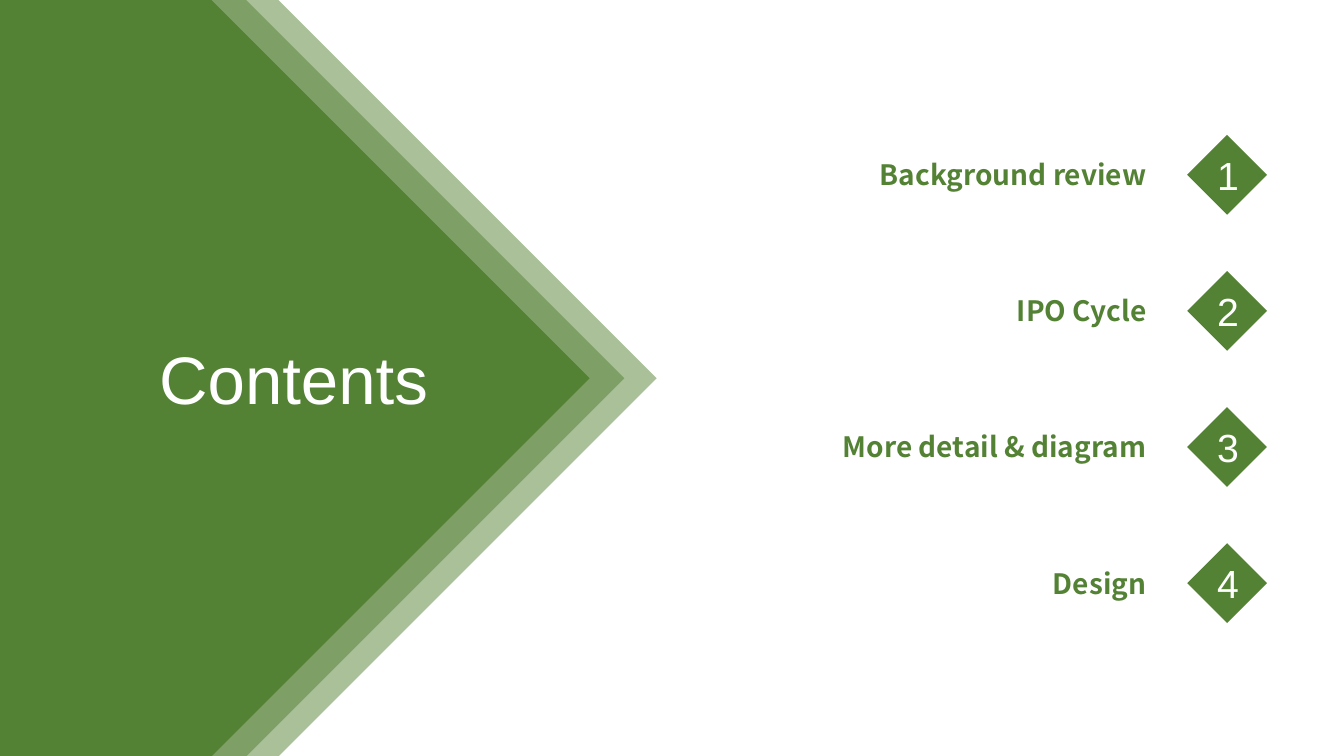
from pptx import Presentation
from pptx.dml.color import RGBColor
from pptx.enum.shapes import MSO_SHAPE
from pptx.enum.text import MSO_ANCHOR, PP_ALIGN
from pptx.oxml.ns import qn
from pptx.util import Cm, Pt
from lxml import etree

DIAMOND = MSO_SHAPE.DIAMOND
RECTANGLE = MSO_SHAPE.RECTANGLE
RIGHT_TRIANGLE = MSO_SHAPE.RIGHT_TRIANGLE
MIDDLE = MSO_ANCHOR.MIDDLE
CENTER = PP_ALIGN.CENTER
RIGHT = PP_ALIGN.RIGHT

SLIDE_WIDTH, SLIDE_HEIGHT = 33.87, 19.05
GREEN, WHITE = "548235", "FFFFFF"
HEADING_FONT, TOPIC_FONT = "Arial", "Noto Sans CJK SC"
ARROW_X, ARROW_Y = 5.32, 9.53
ARROW_LAYERS = [(15.88, 50), (14.73, 50), (13.49, 100)]
TOPICS = ["Background review", "IPO Cycle", "More detail & diagram", "Design"]
FIRST_TOPIC_TOP, TOPIC_PITCH = 3.4, 3.43


def color(hex_code):
    """Return the colour for a hex string."""
    return RGBColor.from_string(hex_code)


def add_solid(slide, kind, left, top, width, height, opacity=100):
    """Add a green shape without outline, with opacity in percent."""
    solid = slide.shapes.add_shape(kind, Cm(left), Cm(top), Cm(width), Cm(height))
    solid.shadow.inherit = False
    solid.fill.solid()
    solid.fill.fore_color.rgb = color(GREEN)
    solid.line.fill.background()
    if opacity < 100:
        tint = solid.fill._xPr.find(qn("a:solidFill"))[0]
        etree.SubElement(tint, qn("a:alpha"), val=str(opacity * 1000))
    return solid


def write(frame, text, size, font, hex_code, align, bold=False):
    """Write one formatted paragraph into a text frame."""
    frame.word_wrap = True
    paragraph = frame.paragraphs[0]
    paragraph.text = text
    paragraph.alignment = align
    paragraph.font.size = Pt(size)
    paragraph.font.name = font
    paragraph.font.bold = bold
    paragraph.font.color.rgb = color(hex_code)


def add_label(slide, left, top, width, height, *style):
    """Add a text box with one styled line."""
    label = slide.shapes.add_textbox(Cm(left), Cm(top), Cm(width), Cm(height))
    write(label.text_frame, *style)


def add_arrow(slide):
    """Add the layered arrow that fills the left side."""
    for side, opacity in ARROW_LAYERS:
        layer = add_solid(slide, RIGHT_TRIANGLE, ARROW_X - side / 2,
                          ARROW_Y - side / 2, side, side, opacity)
        layer.rotation = 225
    add_solid(slide, RECTANGLE, 0, 0, ARROW_X, SLIDE_HEIGHT)


def add_topic(slide, number, topic, top):
    """Add a numbered diamond and its topic."""
    marker = add_solid(slide, DIAMOND, 29.92, top, 2.01, 2.01)
    marker.text_frame.vertical_anchor = MIDDLE
    write(marker.text_frame, str(number), 28, HEADING_FONT, WHITE, CENTER)
    add_label(slide, 18.34, top + 0.45, 10.8, 1.12,
              topic, 20, TOPIC_FONT, GREEN, RIGHT, True)


def main():
    """Build the contents slide."""
    deck = Presentation()
    deck.slide_width, deck.slide_height = Cm(SLIDE_WIDTH), Cm(SLIDE_HEIGHT)
    slide = deck.slides.add_slide(deck.slide_layouts[6])
    add_arrow(slide)
    add_label(slide, 2.95, 8.38, 8.9, 2.31,
              "Contents", 48, HEADING_FONT, WHITE, CENTER)
    for index, topic in enumerate(TOPICS):
        add_topic(slide, index + 1, topic, FIRST_TOPIC_TOP + index * TOPIC_PITCH)
    deck.save("out.pptx")


if __name__ == "__main__":
    main()
